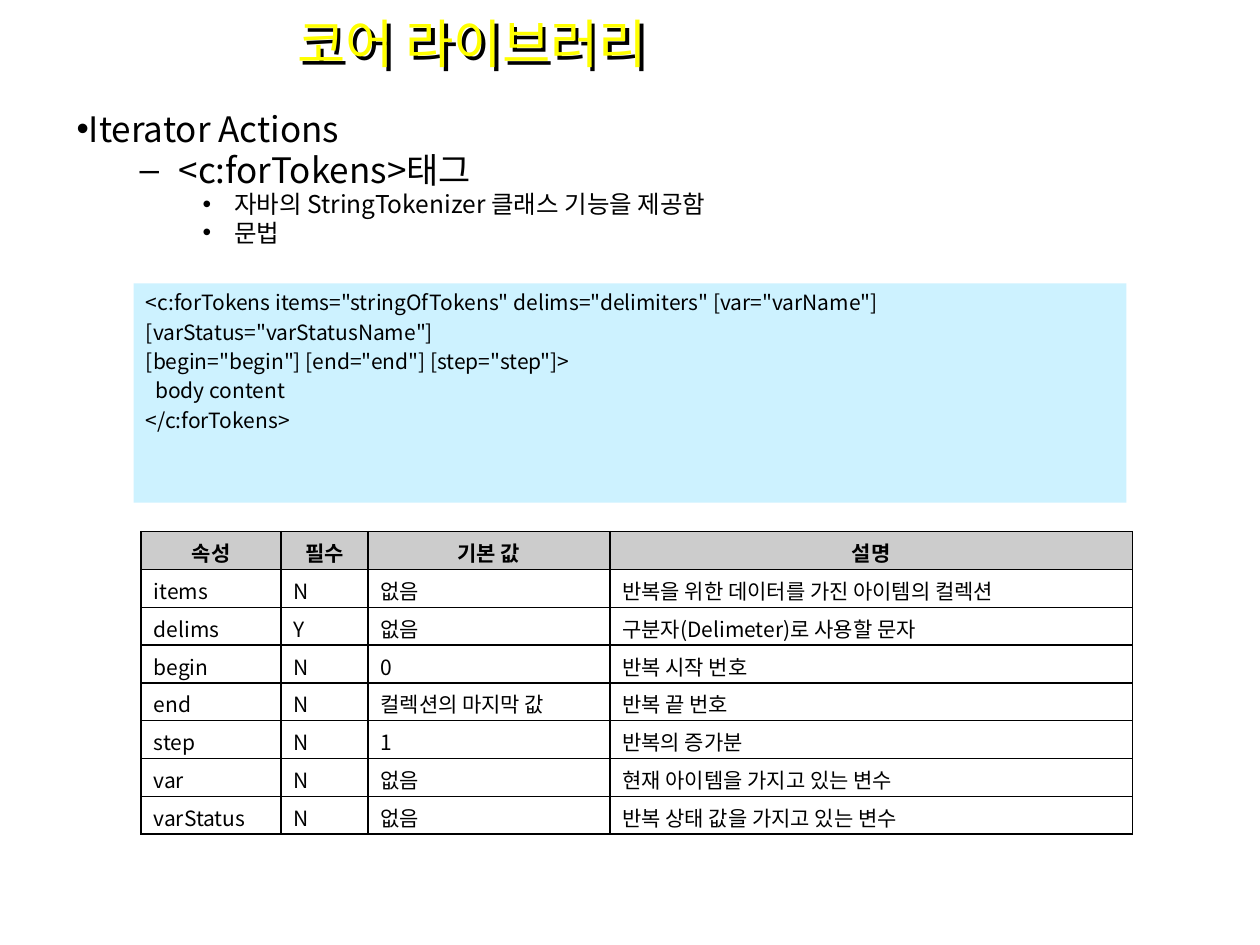
from lxml.etree import SubElement as Sub
from pptx import Presentation
from pptx.dml.color import RGBColor as RGB
from pptx.enum.shapes import MSO_SHAPE as SHAPE
from pptx.enum.text import MSO_ANCHOR as ANCHOR, PP_ALIGN as ALIGN
from pptx.oxml.ns import qn
from pptx.util import Emu, Inches, Pt

COLORS = {"text": "000000", "title": "FFFF00", "code": "CDF2FF", "header": "CCCCCC"}
FONT = "Noto Sans CJK KR"

BULLETS = [
    (0, "Iterator Actions"),
    (1, "<c:forTokens>태그"),
    (2, "자바의 StringTokenizer 클래스 기능을 제공함"),
    (2, "문법"),
]
LEVELS = [("•", 0, 0, 20), ("–", 0.81, -0.31, 20), ("•", 1.25, -0.25, 14)]

CODE = [
    '<c:forTokens items="stringOfTokens" delims="delimiters" [var="varName"]',
    '[varStatus="varStatusName"]',
    '[begin="begin"] [end="end"] [step="step"]>',
    "  body content",
    "</c:forTokens>",
]

ATTRIBUTES = [
    ("속성", "필수", "기본 값", "설명"),
    ("items", "N", "없음", "반복을 위한 데이터를 가진 아이템의 컬렉션"),
    ("delims", "Y", "없음", "구분자(Delimeter)로 사용할 문자"),
    ("begin", "N", "0", "반복 시작 번호"),
    ("end", "N", "컬렉션의 마지막 값", "반복 끝 번호"),
    ("step", "N", "1", "반복의 증가분"),
    ("var", "N", "없음", "현재 아이템을 가지고 있는 변수"),
    ("varStatus", "N", "없음", "반복 상태 값을 가지고 있는 변수"),
]
COLUMNS = [1.11, 0.69, 1.92, 4.15]
ROW_HEIGHT = 0.3


class Deck:
    """Holds the style and the current slide, and draws each kind of element."""

    def __init__(self, prs):
        self.s = prs.slides.add_slide(prs.slide_layouts[6])

    def color(self, name):
        return RGB.from_string(COLORS[name])

    def style(self, p, size, color="text", bold=False):
        p.font.size = Pt(size)
        p.font.bold = bold
        p.font.color.rgb = self.color(color)
        p.font.name = FONT
        Sub(p._p.pPr.find(qn("a:defRPr")), qn("a:ea"), typeface=FONT)

    def indent(self, p, left, first):
        pPr = p._p.get_or_add_pPr()
        pPr.set("marL", str(Inches(left)))
        pPr.set("indent", str(Inches(first)))
        return pPr

    def paragraphs(self, tf, count):
        return [tf.paragraphs[0]] + [tf.add_paragraph() for _ in range(count - 1)]

    def textbox(self, x, y, w, h):
        sp = self.s.shapes.add_textbox(Inches(x), Inches(y), Inches(w), Inches(h))
        sp.text_frame.word_wrap = True
        return sp

    def title(self, text, x, y, w, h):
        sp = self.textbox(x, y, w, h)
        tf = sp.text_frame
        tf.vertical_anchor = ANCHOR.MIDDLE
        tf.margin_left = Inches(0.2)
        p = tf.paragraphs[0]
        p.text = text
        self.style(p, 30, "title")
        effects = Sub(sp._element.spPr, qn("a:effectLst"))
        shadow = Sub(effects, qn("a:outerShdw"), dist=str(Emu(36000)), dir="2700000")
        Sub(shadow, qn("a:srgbClr"), val=COLORS["text"])

    def bullets(self, items, x, y, w, h):
        tf = self.textbox(x, y, w, h).text_frame
        tf.margin_top = Inches(0.08)
        for i, (p, (level, text)) in enumerate(zip(self.paragraphs(tf, len(items)), items)):
            mark, left, first, size = LEVELS[level]
            p.text = text
            p.level = level
            p.line_spacing = 0.8
            p.space_before = Pt(size * 0.2 if i else 0)
            pPr = self.indent(p, left, first)
            Sub(pPr, qn("a:buFont"), typeface="Arial")
            Sub(pPr, qn("a:buChar"), char=mark)
            self.style(p, size)

    def code(self, lines, x, y, w, h):
        sp = self.s.shapes.add_shape(SHAPE.RECTANGLE, Inches(x), Inches(y), Inches(w), Inches(h))
        sp.shadow.inherit = False
        sp.fill.solid()
        sp.fill.fore_color.rgb = self.color("code")
        sp.line.fill.background()
        tf = sp.text_frame
        tf.word_wrap = True
        tf.vertical_anchor = ANCHOR.TOP
        for i, (p, line) in enumerate(zip(self.paragraphs(tf, len(lines)), lines)):
            p.text = line
            p.alignment = ALIGN.LEFT
            p.space_before = Pt(2.4 if i else 0)
            self.indent(p, 0.1, -0.1)
            self.style(p, 12)

    def border(self, cell):
        tcPr = cell._tc.get_or_add_tcPr()
        for side in ("lnL", "lnR", "lnT", "lnB"):
            ln = Sub(tcPr, qn(f"a:{side}"), w=str(Pt(1)))
            Sub(Sub(ln, qn("a:solidFill")), qn("a:srgbClr"), val=COLORS["text"])

    def cell(self, cell, text, header):
        self.border(cell)
        if header:
            cell.fill.solid()
            cell.fill.fore_color.rgb = self.color("header")
        else:
            cell.fill.background()
        cell.vertical_anchor = ANCHOR.MIDDLE
        cell.margin_top, cell.margin_bottom = Inches(0.04), Inches(0.01)
        p = cell.text_frame.paragraphs[0]
        p.text = text
        p.alignment = ALIGN.CENTER if header else ALIGN.JUSTIFY
        self.style(p, 12, bold=header)

    def table(self, rows, widths, x, y):
        frame = self.s.shapes.add_table(
            len(rows), len(widths), Inches(x), Inches(y),
            Inches(sum(widths)), Inches(ROW_HEIGHT * len(rows)))
        table = frame.table
        table.horz_banding = False
        for column, width in zip(table.columns, widths):
            column.width = Inches(width)
        for r, row in enumerate(rows):
            table.rows[r].height = Inches(ROW_HEIGHT)
            for c, text in enumerate(row):
                self.cell(table.cell(r, c), text, r == 0)


def main():
    prs = Presentation()
    prs.slide_width, prs.slide_height = Inches(10), Inches(7.5)
    deck = Deck(prs)
    deck.bullets(BULLETS, 0.51, 0.84, 9, 4.95)
    deck.code(CODE, 1.06, 2.25, 7.88, 1.74)
    deck.table(ATTRIBUTES, COLUMNS, 1.12, 4.22)
    deck.title("코어 라이브러리", 2.16, 0, 6.49, 0.68)
    prs.save("out.pptx")


if __name__ == "__main__":
    main()
